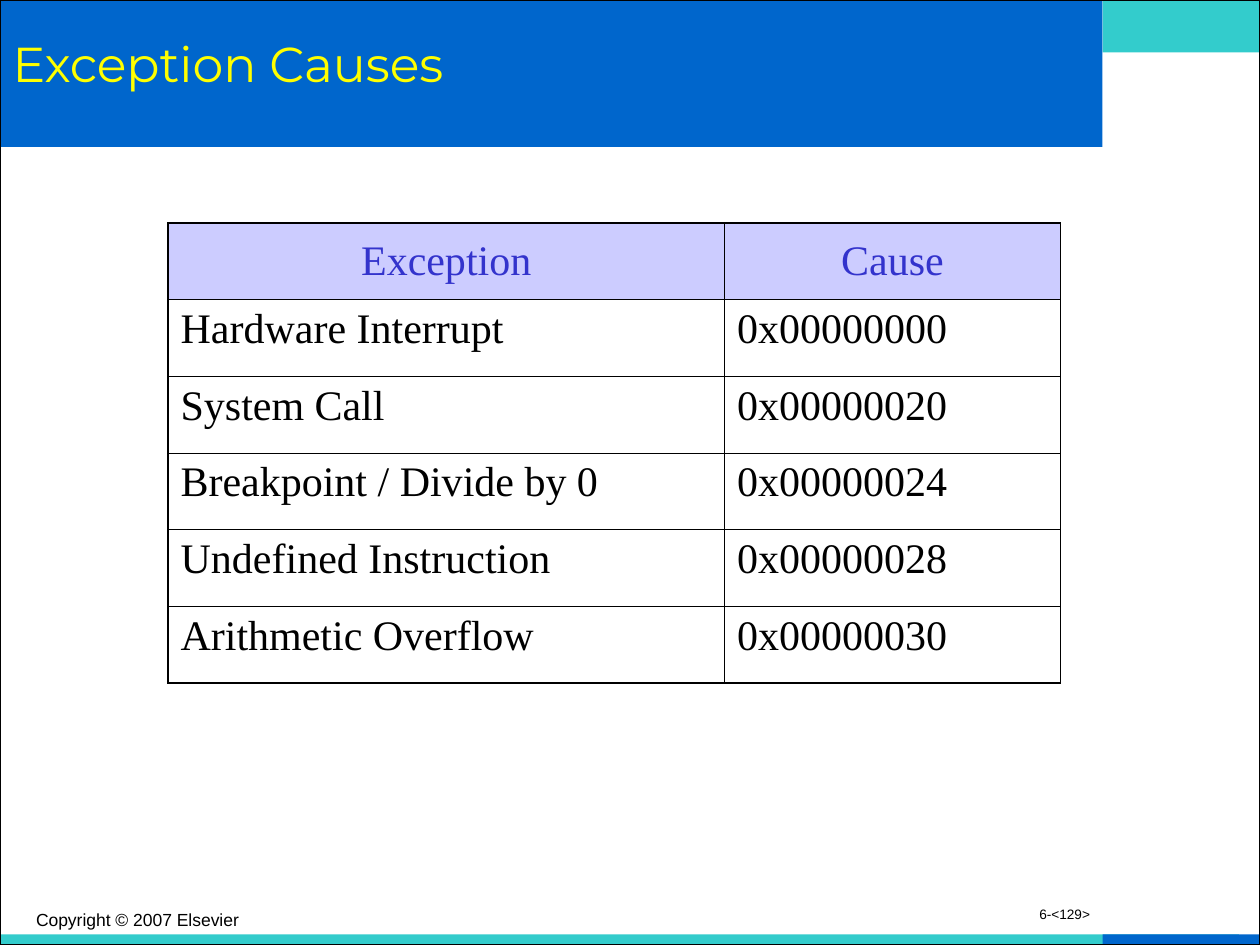
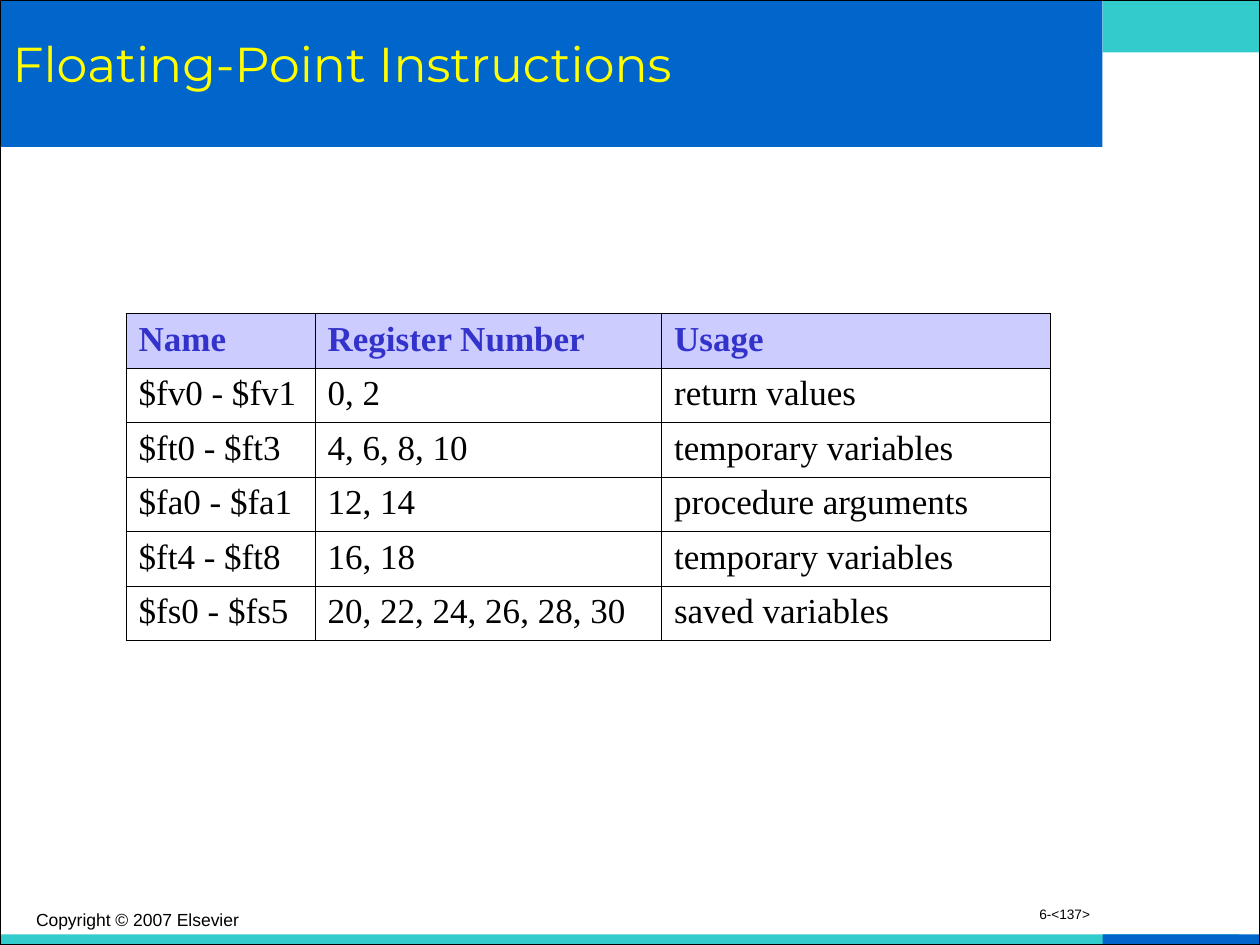
from lxml import etree
from pptx import Presentation
from pptx import util as u
from pptx.dml.color import RGBColor
from pptx.enum import shapes, text
from pptx.oxml import ns

BLUE, TEAL, YELLOW, BLACK = "0066CC", "33CCCC", "FFFF00", "000000"
HEADER_FILL, HEADER_TEXT = "CCCCFF", "3333CC"
TITLE_FONT, FOOTER_FONT, TABLE_FONT = "Montserrat", "Arial", "Times New Roman"
THIN, THICK = 0.45, 1.08
LEFT, CENTER, RIGHT = text.PP_ALIGN.LEFT, text.PP_ALIGN.CENTER, text.PP_ALIGN.RIGHT
COLUMNS, ROWS = 120, 90
BAND_COLUMNS = 105


def colour(value):
    return RGBColor.from_string(value)


class Deck:
    """Holds the shared style and the slide being built; lengths are grid cells."""

    def __init__(self):
        self.presentation = Presentation()
        self.presentation.slide_width = u.Inches(10)
        self.presentation.slide_height = u.Inches(7.5)
        self.column = self.presentation.slide_width // COLUMNS
        self.row = self.presentation.slide_height // ROWS
        self.slide = None

    def place(self, left, top, width, height):
        return [round(length * unit) for length, unit in
                zip((left, top, width, height), (self.column, self.row) * 2)]

    def new_slide(self, title, page):
        layout = self.presentation.slide_layouts.get_by_name("Title Only")
        self.slide = self.presentation.slides.add_slide(layout)
        side = COLUMNS - BAND_COLUMNS
        self.rectangle(BAND_COLUMNS, 0, side, 5, fill=TEAL)
        self.rectangle(0, ROWS - 1, 118, 1, fill=TEAL)
        self.rectangle(BAND_COLUMNS, ROWS - 1, side, 1, fill=BLUE)
        self.rectangle(0, 0, BAND_COLUMNS, 14, fill=BLUE)
        self.rectangle(0, 0, COLUMNS, ROWS, line=BLACK)
        self.footer("Copyright © 2007 Elsevier", 2.25, 38, 10, LEFT)
        self.footer(page, 80, 25, 7.8, RIGHT, spacing=0.8)
        self.title(title)

    def rectangle(self, left, top, width, height, fill=None, line=None):
        shape = self.slide.shapes.add_shape(
            shapes.MSO_SHAPE.RECTANGLE, *self.place(left, top, width, height))
        shape.shadow.inherit = False
        if fill:
            shape.fill.solid()
            shape.fill.fore_color.rgb = colour(fill)
        else:
            shape.fill.background()
        if line:
            shape.line.color.rgb = colour(line)
            shape.line.width = u.Pt(0.75)
        else:
            shape.line.fill.background()

    def set_text(self, text_frame, words, font, size, ink, align=LEFT, bold=False):
        text_frame.text = words
        paragraph = text_frame.paragraphs[0]
        paragraph.alignment = align
        for run in paragraph.runs:
            run.font.name = font
            run.font.size = u.Pt(size)
            run.font.bold = bold
            run.font.color.rgb = colour(ink)
        return paragraph

    def footer(self, words, left, width, size, align, spacing=1.0):
        box = self.slide.shapes.add_textbox(*self.place(left, 86, width, 3))
        box.text_frame.word_wrap = True
        paragraph = self.set_text(box.text_frame, words, FOOTER_FONT, size, BLACK, align)
        paragraph.line_spacing = spacing

    def title(self, words):
        title = self.slide.shapes.title
        title.left, title.top, title.width, title.height = self.place(0, 1, COLUMNS, 10)
        title.text_frame.auto_size = text.MSO_AUTO_SIZE.NONE
        title.text_frame.vertical_anchor = text.MSO_ANCHOR.MIDDLE
        self.set_text(title.text_frame, words, TITLE_FONT, 28, YELLOW)
        self.slide.shapes.element.append(title.element)  # in front of the bands

    def table(self, left, top, widths, row_height, records, size,
              outer=THIN, header_align=LEFT, header_bold=False):
        last_row, last_column = len(records) - 1, len(widths) - 1
        area = self.place(left, top, sum(widths), row_height * len(records))
        table = self.slide.shapes.add_table(len(records), len(widths), *area).table
        table.first_row = table.horz_banding = False
        for column, width in zip(table.columns, widths):
            column.width = round(width * self.column)
        for r, record in enumerate(records):
            table.rows[r].height = round(row_height * self.row)
            for c, words in enumerate(record):
                cell = table.cell(r, c)
                edges = {"L": c == 0, "R": c == last_column,
                         "T": r == 0, "B": r == last_row}
                self.borders(cell, edges, outer)
                if r == 0:
                    cell.fill.solid()
                    cell.fill.fore_color.rgb = colour(HEADER_FILL)
                    if header_align == CENTER:
                        cell.vertical_anchor = text.MSO_ANCHOR.MIDDLE
                    self.set_text(cell.text_frame, words, TABLE_FONT, size,
                                  HEADER_TEXT, header_align, header_bold)
                else:
                    cell.fill.background()
                    self.set_text(cell.text_frame, words, TABLE_FONT, size, BLACK)

    def borders(self, cell, edges, outer):
        """Draw four black sides, using the outer width on the table's edges."""
        properties = cell._tc.get_or_add_tcPr()
        for side, is_outer in edges.items():
            width = u.Pt(outer if is_outer else THIN)
            line = etree.SubElement(properties, ns.qn(f"a:ln{side}"), w=str(int(width)))
            fill = etree.SubElement(line, ns.qn("a:solidFill"))
            etree.SubElement(fill, ns.qn("a:srgbClr"), val=BLACK)


def main():
    deck = Deck()

    deck.new_slide("Exception Causes", "6-<129>")
    deck.table(16, 21.25, (53, 32), 7.3, [
        ("Exception", "Cause"),
        ("Hardware Interrupt", "0x00000000"),
        ("System Call", "0x00000020"),
        ("Breakpoint / Divide by 0", "0x00000024"),
        ("Undefined Instruction", "0x00000028"),
        ("Arithmetic Overflow", "0x00000030"),
    ], size=24, outer=THICK, header_align=CENTER)

    deck.new_slide("Floating-Point Instructions", "6-<137>")
    deck.table(12, 29.85, (18, 33, 37), 5.2, [
        ("Name", "Register Number", "Usage"),
        ("$fv0 - $fv1", "0, 2", "return values"),
        ("$ft0 - $ft3", "4, 6, 8, 10", "temporary variables"),
        ("$fa0 - $fa1", "12, 14", "procedure arguments"),
        ("$ft4 - $ft8", "16, 18", "temporary variables"),
        ("$fs0 - $fs5", "20, 22, 24, 26, 28, 30", "saved variables"),
    ], size=20, header_bold=True)

    deck.presentation.save("out.pptx")


if __name__ == "__main__":
    main()
